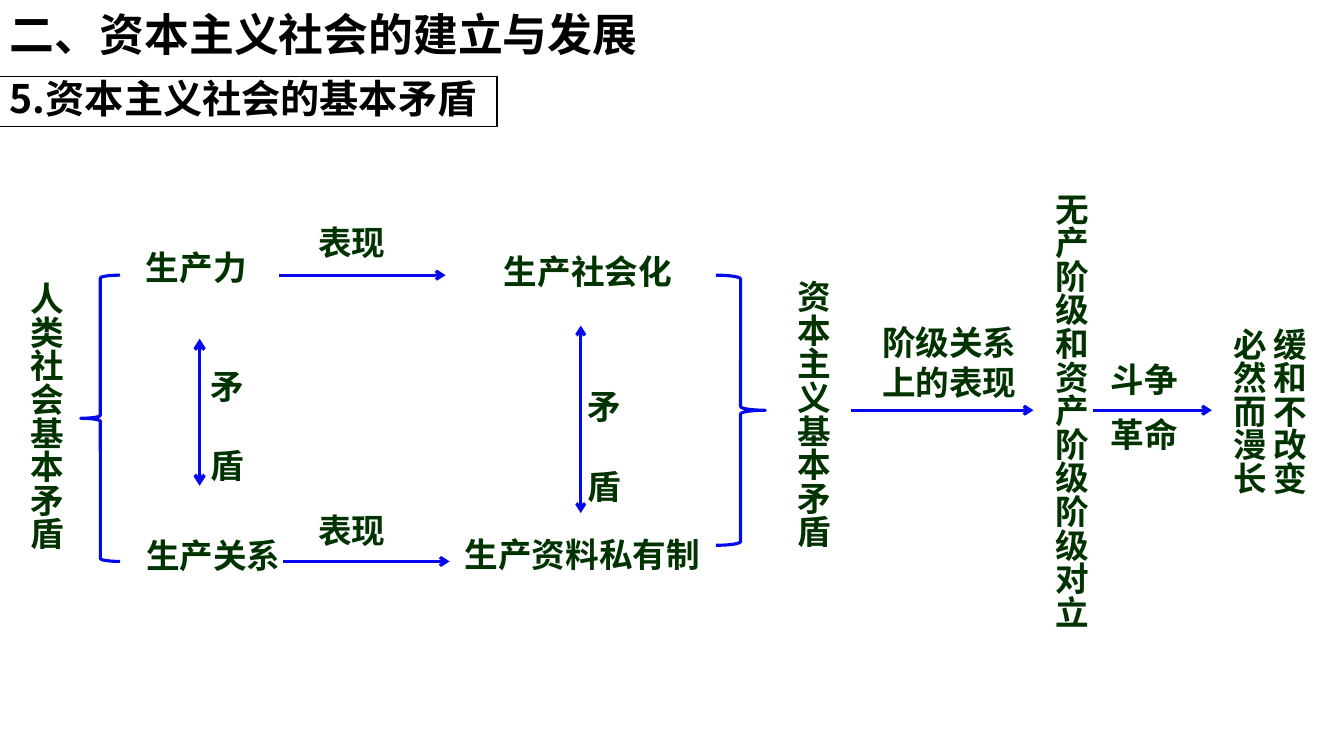
import pptx
import pptx.util
import pptx.dml.color
import pptx.enum.shapes
import pptx.enum.text
import pptx.oxml.ns
import lxml.etree

Inches = pptx.util.Inches
Pt = pptx.util.Pt
RGB = pptx.dml.color.RGBColor.from_string
shapes = pptx.enum.shapes
qn = pptx.oxml.ns.qn

FONT = "Noto Sans CJK SC"
COLORS = {"blue": "0409EC", "green": "003300", "black": "000000", "white": "FFFFFF"}

deck = pptx.Presentation()
deck.slide_width = Inches(13.33)
deck.slide_height = Inches(7.5)
slide = deck.slides.add_slide(deck.slide_layouts[6])


def write(text, box, size=24, color="green", tall=False, head=False, gap=0, frame=False):
    place = [Inches(n) for n in box]
    if frame:
        shape = slide.shapes.add_shape(shapes.MSO_SHAPE.RECTANGLE, *place)
        shape.shadow.inherit = False
        shape.fill.solid()
        shape.fill.fore_color.rgb = RGB(COLORS["white"])
        shape.line.color.rgb = RGB(COLORS["black"])
        shape.line.width = Pt(0.75)
    else:
        shape = slide.shapes.add_textbox(*place)
    body = shape.text_frame
    body.word_wrap = True
    body.margin_left = body.margin_right = Inches(0.1)
    body.margin_top = body.margin_bottom = Inches(0.05)
    anchor = pptx.enum.text.MSO_ANCHOR
    body.vertical_anchor = anchor.BOTTOM if head else anchor.TOP
    if tall:
        props = body._txBody.bodyPr
        props.set("vert", "eaVert")
        for side, inset in [("lIns", 0.1), ("rIns", 0.1), ("tIns", 0.05), ("bIns", 0.05)]:
            props.set(side, str(Inches(inset)))
    body.text = text
    for i, para in enumerate(body.paragraphs):
        para.alignment = pptx.enum.text.PP_ALIGN.LEFT
        if head:
            para.line_spacing = 0.9
        if i and gap:
            para.space_before = Pt(gap)
        for run in para.runs:
            run.font.size = Pt(size)
            run.font.bold = True
            run.font.name = FONT
            run.font.color.rgb = RGB(COLORS[color])
            props = run._r.get_or_add_rPr()
            lxml.etree.SubElement(props, qn("a:ea")).set("typeface", FONT)


def arrow(x1, y1, x2, y2, width=2.25, both=False):
    ends = [Inches(n) for n in (x1, y1, x2, y2)]
    line = slide.shapes.add_connector(shapes.MSO_CONNECTOR.STRAIGHT, *ends)
    line.line.color.rgb = RGB(COLORS["blue"])
    line.line.width = Pt(width)
    props = line._element.spPr
    for tag in ["a:headEnd", "a:tailEnd"] if both else ["a:tailEnd"]:
        lxml.etree.SubElement(line.line._get_or_add_ln(), qn(tag)).set("type", "arrow")
    lxml.etree.SubElement(props, qn("a:effectLst"))


write("二、资本主义社会的建立与发展", (0, 0, 6.67, 0.66), size=32, color="black", head=True)
write("5.资本主义社会的基本矛盾", (0, 0.76, 4.93, 0.5), size=28, color="black", head=True, frame=True)

braces = [
    (shapes.MSO_SHAPE.LEFT_BRACE, (0.8, 2.73, 0.39, 2.84)),
    (shapes.MSO_SHAPE.RIGHT_BRACE, (7.1, 2.73, 0.49, 2.68)),
]
for kind, box in braces:
    brace = slide.shapes.add_shape(kind, *[Inches(n) for n in box])
    brace.shadow.inherit = False
    brace.fill.background()
    brace.line.color.rgb = RGB(COLORS["blue"])
    brace.line.width = Pt(2.25)
    brace.adjustments[0] = 0.075
    brace.adjustments[1] = 0.5

labels = [
    ("生产力", (1.35, 2.4, 1.67, 0.5)),
    ("生产关系", (1.35, 5.26, 1.85, 0.5)),
    ("生产社会化", (4.9, 2.44, 2.44, 0.5)),
    ("生产资料私有制", (4.51, 5.25, 2.69, 0.5)),
    ("表现", (3.06, 2.15, 1.04, 0.5)),
    ("表现", (3.06, 5.01, 1.04, 0.5)),
    ("阶级关系上的表现", (8.65, 3.14, 1.62, 0.9)),
    ("斗争", (10.92, 3.51, 1.02, 0.5)),
    ("革命", (10.92, 4.06, 1.02, 0.5)),
]
for text, box in labels:
    write(text, box)

for left, top in [(1.99, 3.58), (5.73, 3.78)]:
    write("矛\n盾", (left, top, 0.58, 1.3), gap=28)

columns = [
    ("人类社会基本矛盾", (0.17, 2.75, 0.59, 2.9)),
    ("资本主义基本矛盾", (7.77, 2.73, 0.59, 2.9)),
    ("无产阶级和资产阶级阶级对立", (10.33, 1.86, 0.59, 4.6)),
    ("缓和不改变\n必然而漫长", (12.1, 3.2, 0.99, 1.9)),
]
for text, box in columns:
    write(text, box, tall=True)

for x1, x2, y in [(2.77, 4.42, 2.73), (2.81, 4.46, 5.57), (8.44, 10.25, 4.07), (10.84, 12.02, 4.07)]:
    arrow(x1, y, x2, y)
arrow(1.98, 3.36, 1.98, 4.82, width=2.5, both=True)
arrow(5.76, 3.23, 5.76, 5.09, both=True)

deck.save("out.pptx")
